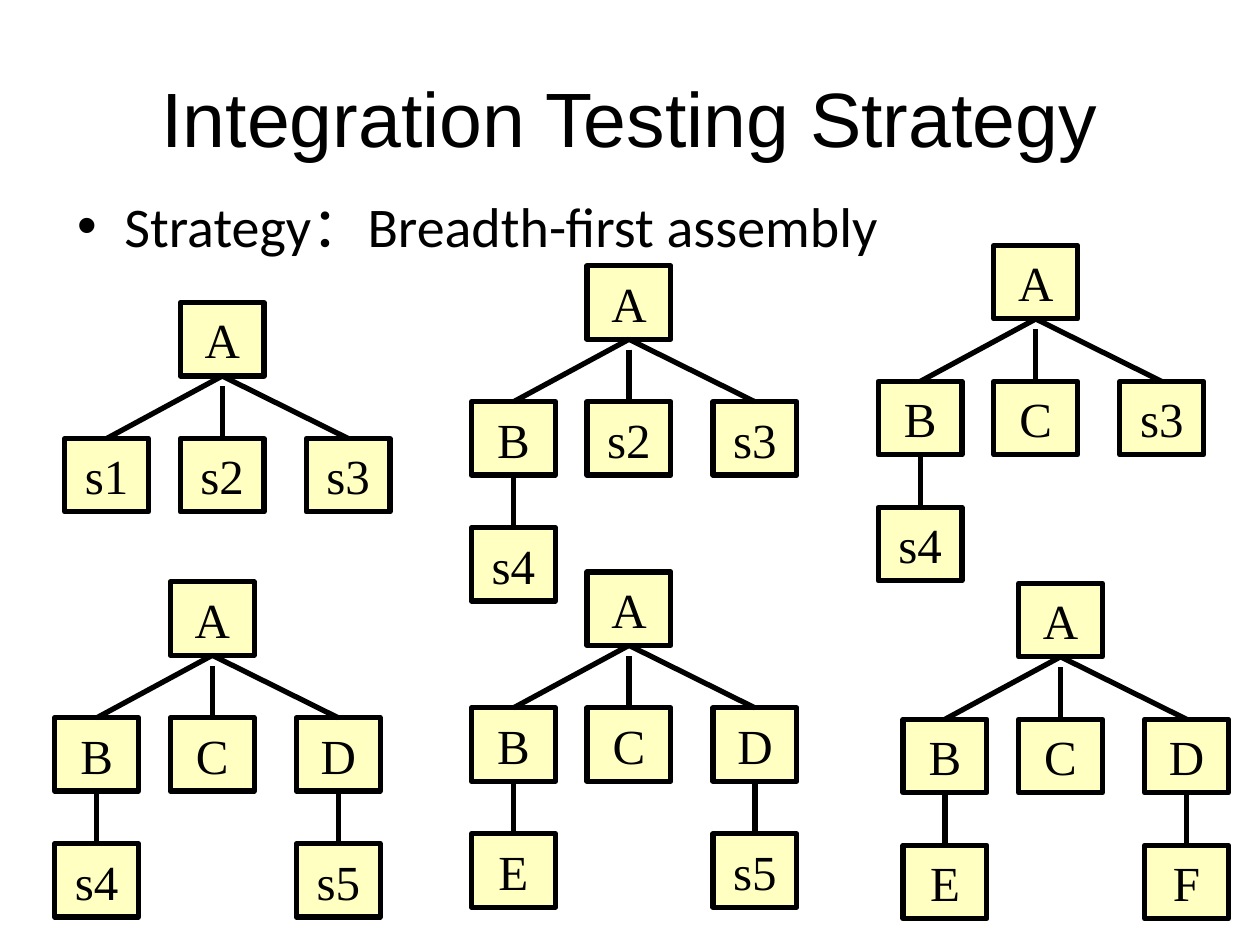
from lxml import etree
from pptx import Presentation
from pptx.dml.color import RGBColor
from pptx.enum.shapes import MSO_CONNECTOR, MSO_SHAPE
from pptx.enum.text import MSO_ANCHOR as Anchor, PP_ALIGN as Align
from pptx.oxml.ns import qn
from pptx.util import Cm, Pt

BLACK = RGBColor(0x00, 0x00, 0x00)
YELLOW = RGBColor(0xFF, 0xFF, 0x99)

BOX_W, BOX_H = 1.69, 1.48
CHILD_X = (-2.33, 0, 2.54)
CHILD_DROP, LEAF_DROP = 2.74, 2.54
STEM_GAP = 0.21

TREES = [
    (4.48, 6.10, ("s1", "s2", "s3"), ("", "", "")),
    (12.68, 5.36, ("B", "s2", "s3"), ("s4", "", "")),
    (20.88, 4.95, ("B", "C", "s3"), ("s4", "", "")),
    (12.68, 11.53, ("B", "C", "D"), ("E", "", "s5")),
    (21.38, 11.76, ("B", "C", "D"), ("E", "", "F")),
    (4.28, 11.73, ("B", "C", "D"), ("s4", "", "s5")),
]


def add_module(tree, label, center, top):
    module = tree.shapes.add_shape(
        MSO_SHAPE.RECTANGLE, Cm(center - BOX_W / 2), Cm(top), Cm(BOX_W), Cm(BOX_H))
    module.shadow.inherit = False
    module.fill.solid()
    module.fill.fore_color.rgb = YELLOW
    color = module.fill._xPr.find(qn("a:solidFill")).find(qn("a:srgbClr"))
    etree.SubElement(color, qn("a:alpha"), val="60000")
    module.line.color.rgb = BLACK
    module.line.width = Pt(3)
    frame = module.text_frame
    frame.word_wrap = False
    frame.vertical_anchor = Anchor.MIDDLE
    frame.text = label
    frame.paragraphs[0].alignment = Align.CENTER
    font = frame.paragraphs[0].runs[0].font
    font.name, font.size, font.color.rgb = "Times New Roman", Pt(28), BLACK


def add_link(tree, x1, y1, x2, y2):
    link = tree.shapes.add_connector(
        MSO_CONNECTOR.STRAIGHT, Cm(x1), Cm(y1), Cm(x2), Cm(y2))
    link.line.color.rgb = BLACK
    link.line.width = Pt(3)
    etree.SubElement(link._element.spPr, qn("a:effectLst"))


prs = Presentation()
prs.slide_width, prs.slide_height = Cm(25.4), Cm(19.05)
slide = prs.slides.add_slide(prs.slide_layouts[1])

title = slide.shapes.title
title.left, title.top, title.width, title.height = Cm(1.27), Cm(0.76), Cm(22.86), Cm(3.18)
title.text_frame.text = "Integration Testing Strategy"
title.text_frame.vertical_anchor = Anchor.MIDDLE
title.text_frame.paragraphs[0].alignment = Align.CENTER

strategy = slide.placeholders[1]
strategy.left, strategy.top, strategy.width, strategy.height = Cm(1.3), Cm(3.73), Cm(22.86), Cm(12.57)
strategy.text_frame.text = "Strategy：Breadth-first assembly"

for heading, face, size in ((title, "Arial", 44), (strategy, "Calibri", 32)):
    font = heading.text_frame.paragraphs[0].runs[0].font
    font.name, font.size, font.color.rgb = face, Pt(size), BLACK

for root_x, root_top, children, leaves in TREES:
    tree = slide.shapes.add_group_shape()
    root_bottom = root_top + BOX_H
    child_top = root_top + CHILD_DROP
    leaf_top = child_top + LEAF_DROP
    add_module(tree, "A", root_x, root_top)
    for offset, child, leaf in zip(CHILD_X, children, leaves):
        x = root_x + offset
        add_module(tree, child, x, child_top)
        stem_top = root_bottom if offset else root_bottom + STEM_GAP
        add_link(tree, root_x, stem_top, x, child_top)
        if leaf:
            add_module(tree, leaf, x, leaf_top)
            add_link(tree, x, child_top + BOX_H, x, leaf_top)

prs.save("out.pptx")
